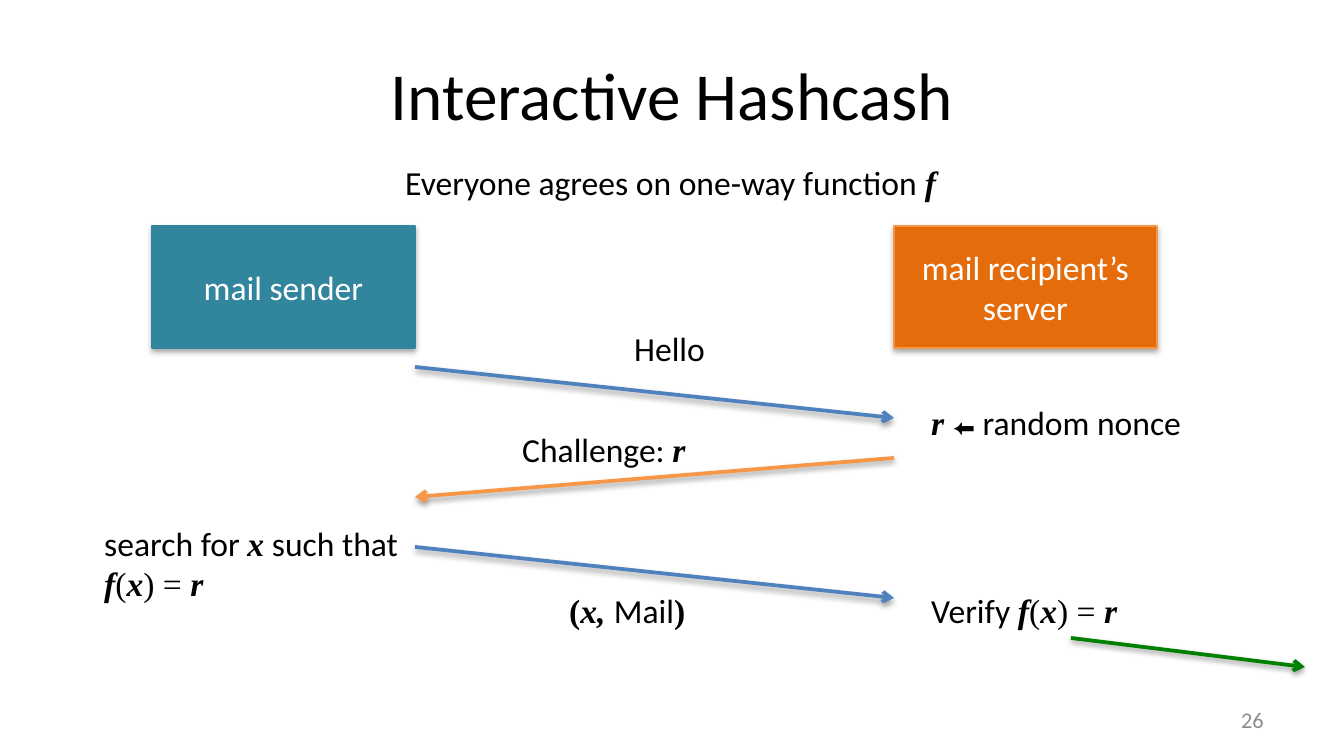
from lxml import etree
from pptx import Presentation
from pptx.dml.color import RGBColor
from pptx.enum.shapes import MSO_CONNECTOR, MSO_SHAPE
from pptx.enum.text import MSO_ANCHOR, MSO_AUTO_SIZE, PP_ALIGN
from pptx.oxml.ns import qn
from pptx.util import Pt

SCALE = 914400 / 134.4
RECT = MSO_SHAPE.RECTANGLE
LINE = MSO_CONNECTOR.STRAIGHT
MIDDLE = MSO_ANCHOR.MIDDLE
GROW = MSO_AUTO_SIZE.SHAPE_TO_FIT_TEXT
LEFT, CENTER, RIGHT = PP_ALIGN.LEFT, PP_ALIGN.CENTER, PP_ALIGN.RIGHT

BLACK = RGBColor(0x00, 0x00, 0x00)
WHITE = RGBColor(0xFF, 0xFF, 0xFF)
GRAY = RGBColor(0x8C, 0x8C, 0x8C)
TEAL = RGBColor(0x31, 0x85, 0x9C)
RUST = RGBColor(0xE4, 0x6C, 0x0A)
ORANGE = RGBColor(0xF7, 0x96, 0x46)
BLUE = RGBColor(0x4F, 0x81, 0xBD)
GREEN = RGBColor(0x00, 0x80, 0x00)

# Style: font, size, bold, italic
BODY = ("Calibri", 18, False, False)
MATH = ("Times New Roman", 18, True, True)
PLAIN = ("Times New Roman", 18, False, False)
BOLD = ("Times New Roman", 18, True, False)
SIGN = ("Arial", 12, False, False)
HEAD = ("Calibri", 36, False, False)
SMALL = ("Calibri", 12, False, False)

FORMULA = [("f", MATH), ("(", PLAIN), ("x", MATH), (") = ", PLAIN), ("r", MATH)]

SENDER, SERVER = 415, 894  # facing edges of the two boxes
BOX_W, BOX_H = 263, 122
ROW = 54


def px(*values):
    return [round(v * SCALE) for v in values]


def write(frame, paras, color=BLACK, align=LEFT):
    """Fill a frame with paragraphs, each a list of (text, style) runs."""
    for i, runs in enumerate(paras):
        para = frame.add_paragraph() if i else frame.paragraphs[0]
        para.alignment = align
        for text, (name, size, bold, italic) in runs:
            run = para.add_run()
            run.text = text
            font = run.font
            font.name, font.size = name, Pt(size)
            font.bold, font.italic = bold, italic
            font.color.rgb = color


def shade(shape, dist, alpha):
    """Add a soft black shadow straight below; call after the line is set."""
    effects = etree.SubElement(shape._element.spPr, qn("a:effectLst"))
    outer = etree.SubElement(effects, qn("a:outerShdw"), blurRad="40000",
                             dist=str(dist), dir="5400000", rotWithShape="0")
    black = etree.SubElement(outer, qn("a:srgbClr"), val="000000")
    etree.SubElement(black, qn("a:alpha"), val=str(alpha * 1000))


def add_title(slide, text):
    title = slide.shapes.title
    title.left, title.top, title.width, title.height = px(67, 31, 1210, 126)
    title.text_frame.vertical_anchor = MIDDLE
    write(title.text_frame, [[(text, HEAD)]], align=CENTER)


def add_number(slide, text):
    box = slide.shapes.add_textbox(*px(964, 700, 313, 40))
    box.text_frame.word_wrap = True
    box.text_frame.vertical_anchor = MIDDLE
    write(box.text_frame, [[(text, SMALL)]], GRAY, RIGHT)


def add_party(slide, left, text, fill, edge):
    box = slide.shapes.add_shape(RECT, *px(left, 226, BOX_W, BOX_H))
    box.fill.solid()
    box.fill.fore_color.rgb = fill
    box.line.color.rgb = edge
    box.line.width = Pt(0.75)
    shade(box, 23000, 35)
    box.text_frame.word_wrap = True
    box.text_frame.vertical_anchor = MIDDLE
    write(box.text_frame, [[(text, BODY)]], WHITE, CENTER)


def add_arrow(slide, start, end, color):
    arrow = slide.shapes.add_connector(LINE, *px(*start, *end))
    arrow.line.color.rgb = color
    arrow.line.width = Pt(2)
    etree.SubElement(arrow.line._get_or_add_ln(), qn("a:tailEnd"), type="arrow")
    shade(arrow, 20000, 38)


def add_label(slide, left, top, width, *paras, height=ROW):
    box = slide.shapes.add_textbox(*px(left, top, width, height))
    box.text_frame.word_wrap = False
    box.text_frame.auto_size = GROW
    write(box.text_frame, paras)


def main():
    deck = Presentation()
    deck.slide_width, deck.slide_height = px(1344, 756)
    slide = deck.slides.add_slide(deck.slide_layouts[5])

    add_title(slide, "Interactive Hashcash")
    add_number(slide, "26")
    add_label(slide, 392, 155, 574,
              [("Everyone agrees on one-way function ", BODY), ("f", MATH)])
    add_party(slide, SENDER - BOX_W, "mail sender", TEAL, TEAL)
    add_party(slide, SERVER, "mail recipient’s server", RUST, ORANGE)

    add_arrow(slide, (SENDER, 367), (SERVER, 418), BLUE)
    add_arrow(slide, (SERVER, 458), (SENDER, 497), ORANGE)
    add_arrow(slide, (SENDER, 547), (SERVER, 598), BLUE)
    add_arrow(slide, (1071, 638), (1305, 667), GREEN)

    add_label(slide, 621, 321, 98, [("Hello", BODY)])
    add_label(slide, 509, 422, 202, [("Challenge: ", BODY), ("r", MATH)])
    add_label(slide, 918, 395, 285,
              [("r ", MATH), ("⬅", SIGN), (" random nonce", BODY)])
    add_label(slide, 91, 516, 335,
              [("search for ", BODY), ("x", MATH), (" such that", BODY)],
              FORMULA, height=95)
    add_label(slide, 556, 583, 145,
              [("(", BOLD), ("x, ", MATH), ("Mail", BODY), (")", BOLD)])
    add_label(slide, 918, 583, 226, [("Verify ", BODY), *FORMULA])

    deck.save("out.pptx")


if __name__ == "__main__":
    main()
